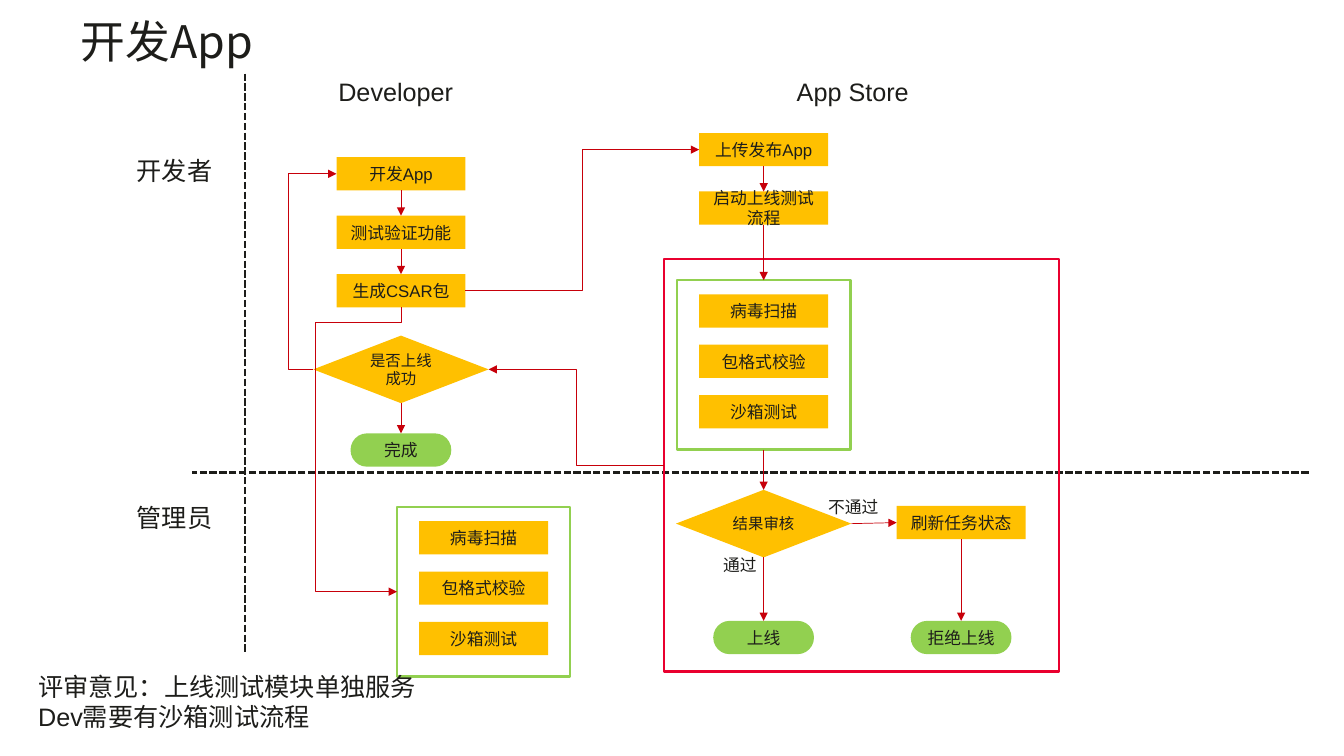
from lxml.etree import SubElement as Sub
from pptx import Presentation
from pptx.dml.color import RGBColor
from pptx.enum.dml import MSO_LINE as Dash
from pptx.enum.shapes import MSO_CONNECTOR as Link, MSO_SHAPE as Kind
from pptx.enum.text import MSO_ANCHOR as Anchor, MSO_AUTO_SIZE as Auto, PP_ALIGN as Align
from pptx.oxml.ns import qn
from pptx.util import Pt

PX = 9144
INK, RED, GOLD, GREEN, ROSE = "1D1D1A", "C7000A", "FFC000", "92D050", "E9002F"
CJK = "Noto Sans CJK SC"
TOP, LEFT, LOW, RIGHT = range(4)
DEV, STORE, FAIL = 398, 758, 954

TITLE = "开发App"
LABELS = [
    ("App Store", 781, 71, 132, 40, 18),
    ("Developer", 326, 71, 135, 40, 18),
    ("开发者", 126, 149, 96, 40, 18),
    ("管理员", 126, 493, 96, 40, 18),
    ("通过", 708, 545, 54, 30, 12),
    ("不通过", 812, 488, 72, 30, 12),
    ("评审意见：上线测试模块单独服务\nDev需要有沙箱测试流程", 28, 661, 399, 71, 18),
]
DIVIDERS = [(243, 73, 243, 647), (1299, 469, 191, 469)]
STYLES = {
    "step": (Kind.RECTANGLE, 128, 33, GOLD, 12),
    "test": (Kind.FLOWCHART_DECISION, 174, 67, GOLD, 11),
    "stop": (Kind.FLOWCHART_TERMINATOR, 100, 33, GREEN, 12),
}
NODES = {
    "dev": ("step", "开发App", DEV, 156),
    "try": ("step", "测试验证功能", DEV, 214),
    "pack": ("step", "生成CSAR包", DEV, 272),
    "live": ("test", "是否上线成功", DEV, 333),
    "done": ("stop", "完成", DEV, 430),
    "send": ("step", "上传发布App", STORE, 132),
    "start": ("step", "启动上线测试流程", STORE, 190),
    "audit": ("test", "结果审核", STORE, 486),
    "on": ("stop", "上线", STORE, 616),
    "fresh": ("step", "刷新任务状态", FAIL, 502),
    "deny": ("stop", "拒绝上线", FAIL, 616),
}
CHECKS = ["病毒扫描", "包格式校验", "沙箱测试"]
GROUPS = {"scan": (STORE, 278), "box": (480, 503)}
STRAIGHT = [
    ("dev", LOW, "try", TOP), ("try", LOW, "pack", TOP), ("live", LOW, "done", TOP),
    ("send", LOW, "start", TOP), ("start", LOW, "scan", TOP), ("scan", LOW, "audit", TOP),
    ("audit", LOW, "on", TOP), ("audit", RIGHT, "fresh", LEFT), ("fresh", LOW, "deny", TOP),
]
BENT = [
    ("pack", RIGHT, "send", LEFT, None),
    ("zone", LEFT, "live", RIGHT, None),
    ("live", LEFT, "dev", LEFT, 286),
]

deck = Presentation()
deck.slide_width, deck.slide_height = 1334 * PX, 750 * PX
slide = deck.slides.add_slide(deck.slide_layouts[5])
parts = {}


def tint(code):
    return RGBColor.from_string(code)


def write(shape, text, size=12, font="Arial", align=Align.LEFT, anchor=Anchor.TOP,
          wrap=True, inset=None, lead=None):
    frame = shape.text_frame
    frame.auto_size, frame.word_wrap = Auto.NONE, wrap
    frame.vertical_anchor = anchor
    if inset is not None:
        frame.margin_left = frame.margin_right = inset
        frame.margin_top = frame.margin_bottom = inset
    frame.text = text
    for para in frame.paragraphs:
        para.alignment = align
        if lead:
            para.line_spacing = Pt(lead)
        for run in para.runs:
            run.font.size, run.font.name = Pt(size), font
            run.font.color.rgb = tint(INK)
            Sub(run.font._element, qn("a:ea"), typeface=CJK)


def draw(home, kind, x, y, w, h, fill=None, line=None):
    shape = home.add_shape(kind, x * PX, y * PX, w * PX, h * PX)
    shape.shadow.inherit = False
    if fill:
        shape.fill.solid()
        shape.fill.fore_color.rgb = tint(fill)
    else:
        shape.fill.background()
    if line:
        shape.line.color.rgb, shape.line.width = tint(line), Pt(1.75)
    else:
        shape.line.fill.background()
    return shape


def node(home, style, text, mid, y):
    kind, w, h, fill, size = STYLES[style]
    shape = draw(home, kind, mid - w // 2, y, w, h, fill)
    write(shape, text, size=size, align=Align.CENTER, anchor=Anchor.MIDDLE)
    return shape


def stroke(kind, ends, color, width, dash=None, arrow=False):
    line = slide.shapes.add_connector(kind, *ends)
    line.line.color.rgb, line.line.width = tint(color), Pt(width)
    if dash:
        line.line.dash_style = dash
    props = line.element.spPr
    if arrow:
        Sub(props.find(qn("a:ln")), qn("a:tailEnd"), type="triangle")
    Sub(props, qn("a:effectLst"))
    return line


def side(name, site):
    s = parts[name]
    x, y = s.left + s.width // 2, s.top + s.height // 2
    return [(x, s.top), (s.left, y), (x, s.top + s.height), (s.left + s.width, y)][site]


def join(kind, tail, out, head, into):
    ends = side(tail, out) + side(head, into)
    line = stroke(kind, ends, RED, 0.5, arrow=True)
    line.begin_connect(parts[tail], out)
    line.end_connect(parts[head], into)
    return line


def bend(line, *shares):
    geom = line.element.spPr.find(qn("a:prstGeom"))
    geom.set("prst", f"bentConnector{len(shares) + 2}")
    guides = geom.find(qn("a:avLst"))
    if guides is None:
        guides = Sub(geom, qn("a:avLst"))
    for i, share in enumerate(shares, 1):
        Sub(guides, qn("a:gd"), name=f"adj{i}", fmla=f"val {round(share * 100000)}")


title = slide.shapes.title
title.left, title.top, title.width, title.height = [n * PX for n in (80, 19, 1175, 63)]
write(title, TITLE, size=32, font=CJK, inset=0, lead=34.3)

for ends in DIVIDERS:
    stroke(Link.STRAIGHT, [n * PX for n in ends], INK, 1.75, dash=Dash.SQUARE_DOT)

for name, spec_row in NODES.items():
    parts[name] = node(slide.shapes, *spec_row)
for name, (mid, y) in GROUPS.items():
    home = slide.shapes.add_group_shape().shapes
    for i, text in enumerate(CHECKS):
        node(home, "step", text, mid, y + 14 + 50 * i)
    parts[name] = draw(home, Kind.RECTANGLE, mid - 86, y, 172, 168, line=GREEN)
parts["zone"] = draw(slide.shapes, Kind.RECTANGLE, 659, 257, 392, 409, line=ROSE)

for row in STRAIGHT:
    join(Link.STRAIGHT, *row)
for *row, turn in BENT:
    line = join(Link.ELBOW, *row)
    if turn:
        bend(line, (turn * PX - line.begin_x) / (line.end_x - line.begin_x))

line = join(Link.ELBOW, "pack", LOW, "box", LEFT)
(x1, y1), (x2, y2) = side("pack", LOW), side("box", LEFT)
long, wide = y2 - y1, x1 - x2
bend(line, 15 * PX / long, 85 * PX / wide)
frame = line.element.spPr.find(qn("a:xfrm"))
frame.attrib.pop("flipH", None)
line.left, line.top = (x1 + x2 - long) // 2, (y1 + y2 - wide) // 2
line.width, line.height = long, wide
frame.set("rot", "5400000")

for text, x, y, w, h, size in LABELS:
    box = slide.shapes.add_textbox(x * PX, y * PX, w * PX, h * PX)
    write(box, text, size=size, wrap=False)

deck.save("out.pptx")
